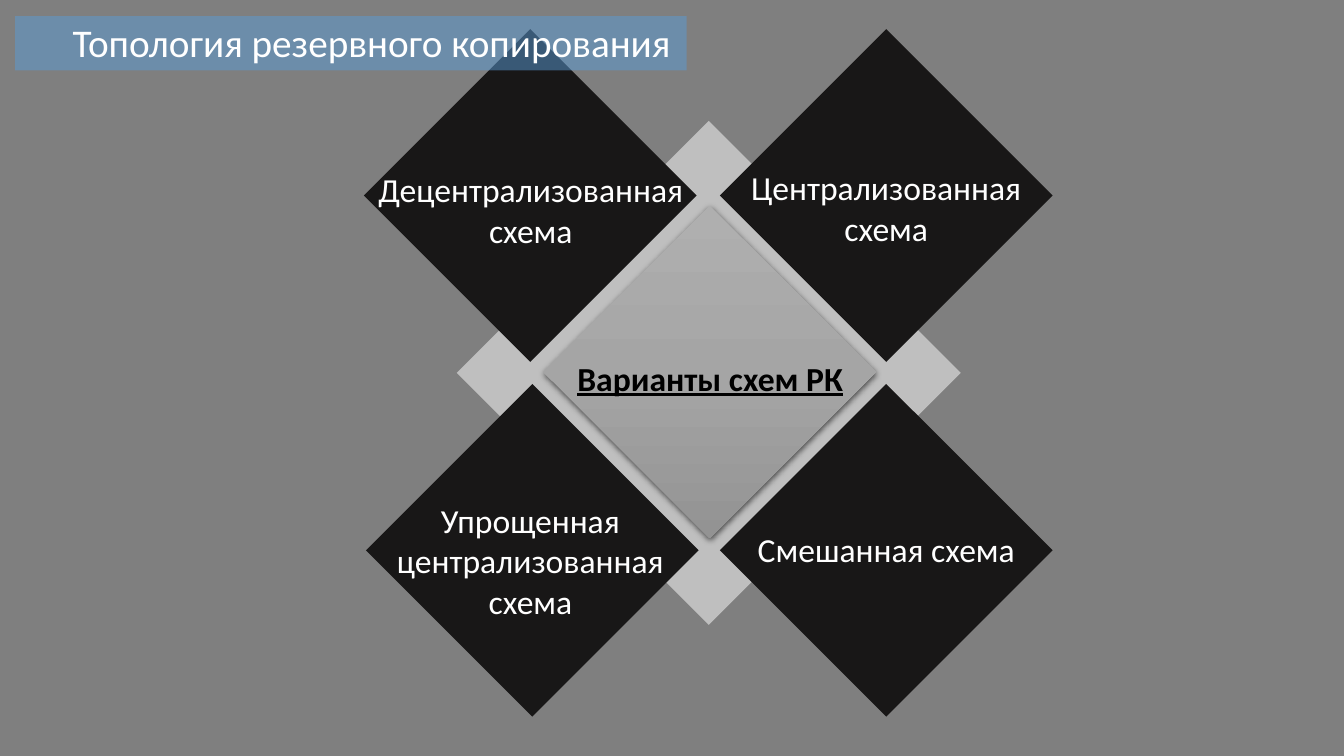
from dataclasses import dataclass

from lxml import etree
from pptx import Presentation
from pptx.dml.color import RGBColor
from pptx.enum.shapes import MSO_SHAPE as SHAPE
from pptx.enum.text import MSO_AUTO_SIZE as FIT, PP_ALIGN as ALIGN
from pptx.oxml import parse_xml
from pptx.oxml.ns import nsdecls, qn
from pptx.util import Inches, Pt


@dataclass(frozen=True)
class Theme:
    font: str = "Calibri"
    black: str = "000000"
    white: str = "FFFFFF"
    scheme: str = "181717"
    title_band: str = "5B9BD5"
    hub_stops: tuple = ((0, "AFAFAF"), (50, "A5A5A5"), (100, "939393"))
    title_size: int = 28
    label_size: int = 24


class SlideBuilder:
    def __init__(self, slide, theme):
        self.s = slide
        self.theme = theme

    def shape(self, kind, box, color, opacity=100):
        sp = self.s.shapes.add_shape(kind, *map(Inches, box))
        sp.fill.solid()
        sp.fill.fore_color.rgb = RGBColor.from_string(color)
        sp.line.fill.background()
        sp.shadow.inherit = False
        if opacity < 100:
            clr = sp.fill._xPr.find(f".//{qn('a:srgbClr')}")
            etree.SubElement(clr, qn("a:alpha"), val=str(opacity * 1000))
        return sp

    def hub(self, box):
        """Diamond with a vertical gradient and a soft shadow below it."""
        sp = self.shape(SHAPE.DIAMOND, box, self.theme.black)
        stops = "".join(
            f'<a:gs pos="{pos * 1000}"><a:srgbClr val="{color}"/></a:gs>'
            for pos, color in self.theme.hub_stops)
        spPr = sp._element.spPr
        spPr.replace(spPr.find(qn("a:solidFill")), parse_xml(
            f'<a:gradFill {nsdecls("a")} rotWithShape="1"><a:gsLst>{stops}</a:gsLst>'
            '<a:lin ang="5400000" scaled="0"/></a:gradFill>'))
        spPr.find(qn("a:effectLst")).append(parse_xml(
            f'<a:outerShdw {nsdecls("a")} blurRad="{Pt(4.5)}" dist="{Pt(1.5)}" '
            'dir="5400000" algn="ctr" rotWithShape="0">'
            f'<a:srgbClr val="{self.theme.black}"><a:alpha val="63000"/></a:srgbClr>'
            '</a:outerShdw>'))

    def text(self, box, text, **overrides):
        tf = self.s.shapes.add_textbox(*map(Inches, box)).text_frame
        tf.word_wrap = True
        tf.auto_size = FIT.SHAPE_TO_FIT_TEXT
        p = tf.paragraphs[0]
        p.alignment = ALIGN.CENTER
        r = p.add_run()
        r.text = text
        fmt = {"name": self.theme.font, "size": self.theme.label_size,
               "color": self.theme.white, **overrides}
        r.font.color.rgb = RGBColor.from_string(fmt.pop("color"))
        fmt["size"] = Pt(fmt["size"])
        for name, value in fmt.items():
            setattr(r.font, name, value)


SIDE = 3.3
TOP, BOTTOM = 0.29, 3.81
RIGHT = 7.14

# Diamond corner, label box, label
SCHEMES = [
    ((RIGHT, TOP), (7.28, 1.61, 3.02, 0.91), "Централизованная схема"),
    ((RIGHT, BOTTOM), (7.28, 5.2, 3.02, 0.5), "Смешанная схема"),
    ((3.63, BOTTOM), (3.75, 4.91, 3.02, 1.31), "Упрощенная централизованная схема"),
    ((3.61, TOP), (3.58, 1.63, 3.37, 0.91), "Децентрализованная схема"),
]


def main():
    prs = Presentation()
    prs.slide_width, prs.slide_height = Inches(13.33), Inches(7.5)
    theme = Theme()
    b = SlideBuilder(prs.slides.add_slide(prs.slide_layouts[6]), theme)

    b.shape(SHAPE.RECTANGLE, (0, 0, 13.33, 7.5), theme.black, opacity=50)
    b.shape(SHAPE.DIAMOND, (4.53, 1.2, 5, 5), theme.white, opacity=50)
    b.hub((5.39, 2.04, SIDE, SIDE))
    b.text((5.53, 3.5, 3.03, 0.5), "Варианты схем РК",
           color=theme.black, bold=True, underline=True)

    for corner, label_box, label in SCHEMES:
        b.shape(SHAPE.DIAMOND, (*corner, SIDE, SIDE), theme.scheme)
        b.text(label_box, label)

    b.shape(SHAPE.RECTANGLE, (0.15, 0.16, 6.66, 0.54), theme.title_band, opacity=50)
    b.text((0.26, 0.13, 6.85, 0.57), "Топология резервного копирования",
           size=theme.title_size)

    prs.save("out.pptx")


if __name__ == "__main__":
    main()
